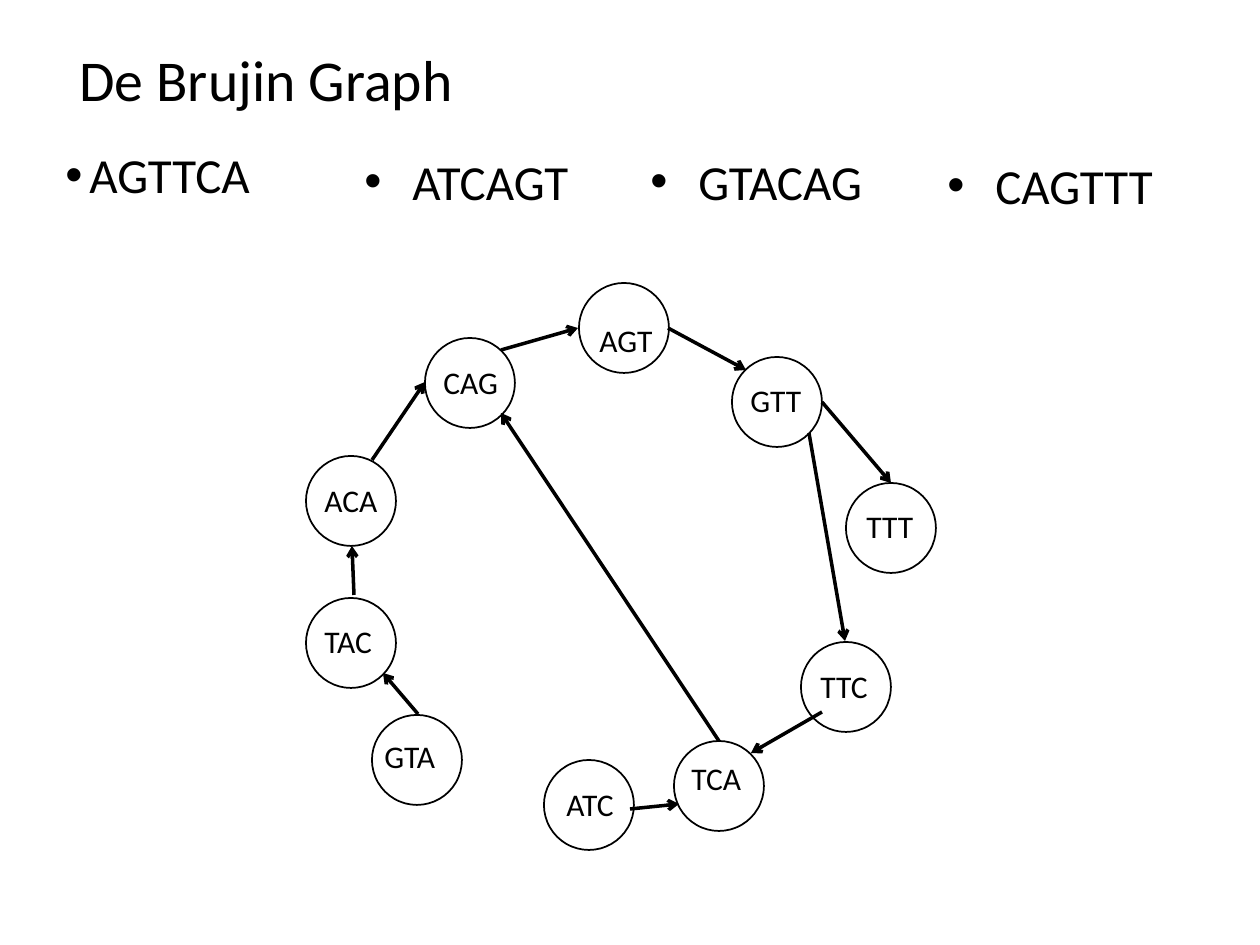
from typing import NamedTuple

from lxml.etree import SubElement
from pptx import Presentation
from pptx.dml.color import RGBColor
from pptx.enum.shapes import MSO_CONNECTOR, MSO_SHAPE
from pptx.enum.text import MSO_ANCHOR, MSO_AUTO_SIZE
from pptx.oxml.ns import qn
from pptx.slide import Slide
from pptx.text.text import TextFrame
from pptx.util import Pt

PX_PER_INCH = 126
FONT = "Calibri"
BLACK = RGBColor(0x00, 0x00, 0x00)
NODE_SIZE = 90
LABEL_HEIGHT = 50
READ_SIZE = 28


class Box(NamedTuple):
    left: int
    top: int
    width: int
    height: int


class Read(NamedTuple):
    text: str
    box: Box
    indent: int
    line_spacing: float


class Node(NamedTuple):
    name: str
    left: int
    top: int
    label_left: int
    label_top: int
    label_width: int


class Edge(NamedTuple):
    start_x: int
    start_y: int
    end_x: int
    end_y: int


READS = [
    Read("AGTTCA", Box(53, 145, 1134, 624), 24, 0.9),
    Read("ATCAGT", Box(352, 145, 290, 411), 48, 1.0),
    Read("GTACAG", Box(638, 145, 290, 411), 48, 1.0),
    Read("CAGTTT", Box(935, 149, 290, 411), 48, 1.0),
]

NODES = [
    Node("AGT", 579, 283, 587, 315, 79),
    Node("GTT", 732, 357, 738, 375, 77),
    Node("TTT", 846, 483, 854, 501, 73),
    Node("TTC", 801, 642, 808, 661, 73),
    Node("TCA", 674, 741, 679, 753, 76),
    Node("ATC", 544, 760, 554, 779, 73),
    Node("GTA", 372, 715, 372, 731, 77),
    Node("TAC", 306, 598, 312, 616, 73),
    Node("ACA", 306, 456, 312, 475, 79),
    Node("CAG", 425, 338, 431, 357, 81),
]

EDGES = [
    Edge(668, 328, 746, 370),  # AGT to GTT
    Edge(822, 402, 891, 483),  # GTT to TTT
    Edge(809, 433, 845, 641),  # GTT to TTC
    Edge(822, 712, 751, 753),  # TTC to TCA
    Edge(630, 809, 679, 804),  # ATC to TCA
    Edge(418, 714, 383, 673),  # GTA to TAC
    Edge(354, 595, 352, 546),  # TAC to ACA
    Edge(372, 460, 425, 382),  # ACA to CAG
    Edge(501, 350, 578, 328),  # CAG to AGT
    Edge(719, 741, 501, 413),  # TCA to CAG
]


def px(length: int) -> int:
    """Turn pixels into EMU."""
    return round(length * 914400 / PX_PER_INCH)


def add_text(slide: Slide, text: str, box: Box, size: int) -> TextFrame:
    text_box = slide.shapes.add_textbox(*map(px, box))
    frame = text_box.text_frame
    frame.word_wrap = True
    run = frame.paragraphs[0].add_run()
    run.text = text
    run.font.name = FONT
    run.font.size = Pt(size)
    run.font.color.rgb = BLACK
    return frame


def add_title(slide: Slide) -> None:
    frame = add_text(slide, "De Brujin Graph", Box(67, 4, 1134, 157), 33)
    frame.vertical_anchor = MSO_ANCHOR.MIDDLE
    frame.paragraphs[0].line_spacing = 0.9


def add_read(slide: Slide, read: Read) -> None:
    frame = add_text(slide, read.text, read.box, READ_SIZE)
    paragraph = frame.paragraphs[0]
    paragraph.line_spacing = read.line_spacing
    properties = paragraph._p.get_or_add_pPr()
    properties.set("marL", str(px(read.indent)))
    properties.set("indent", str(-px(read.indent)))
    SubElement(properties, qn("a:buFont"), typeface="Arial")
    SubElement(properties, qn("a:buChar"), char="•")


def add_node(slide: Slide, node: Node) -> None:
    circle = slide.shapes.add_shape(
        MSO_SHAPE.OVAL, px(node.left), px(node.top), px(NODE_SIZE), px(NODE_SIZE)
    )
    circle.shadow.inherit = False
    circle.fill.background()
    circle.line.color.rgb = BLACK
    circle.line.width = Pt(1)
    label_box = Box(node.label_left, node.label_top, node.label_width, LABEL_HEIGHT)
    label = add_text(slide, node.name, label_box, 18)
    label.word_wrap = False
    label.auto_size = MSO_AUTO_SIZE.SHAPE_TO_FIT_TEXT


def add_edge(slide: Slide, edge: Edge) -> None:
    arrow = slide.shapes.add_connector(MSO_CONNECTOR.STRAIGHT, *map(px, edge))
    arrow.line.color.rgb = BLACK
    arrow.line.width = Pt(2)
    SubElement(arrow.line._get_or_add_ln(), qn("a:tailEnd"), type="arrow")
    SubElement(arrow._element.spPr, qn("a:effectLst"))


def main() -> None:
    presentation = Presentation()
    presentation.slide_width = px(1260)
    presentation.slide_height = px(945)
    slide = presentation.slides.add_slide(presentation.slide_layouts[6])
    add_title(slide)
    for read in READS:
        add_read(slide, read)
    for node in NODES:
        add_node(slide, node)
    for edge in EDGES:
        add_edge(slide, edge)
    presentation.save("out.pptx")


if __name__ == "__main__":
    main()
